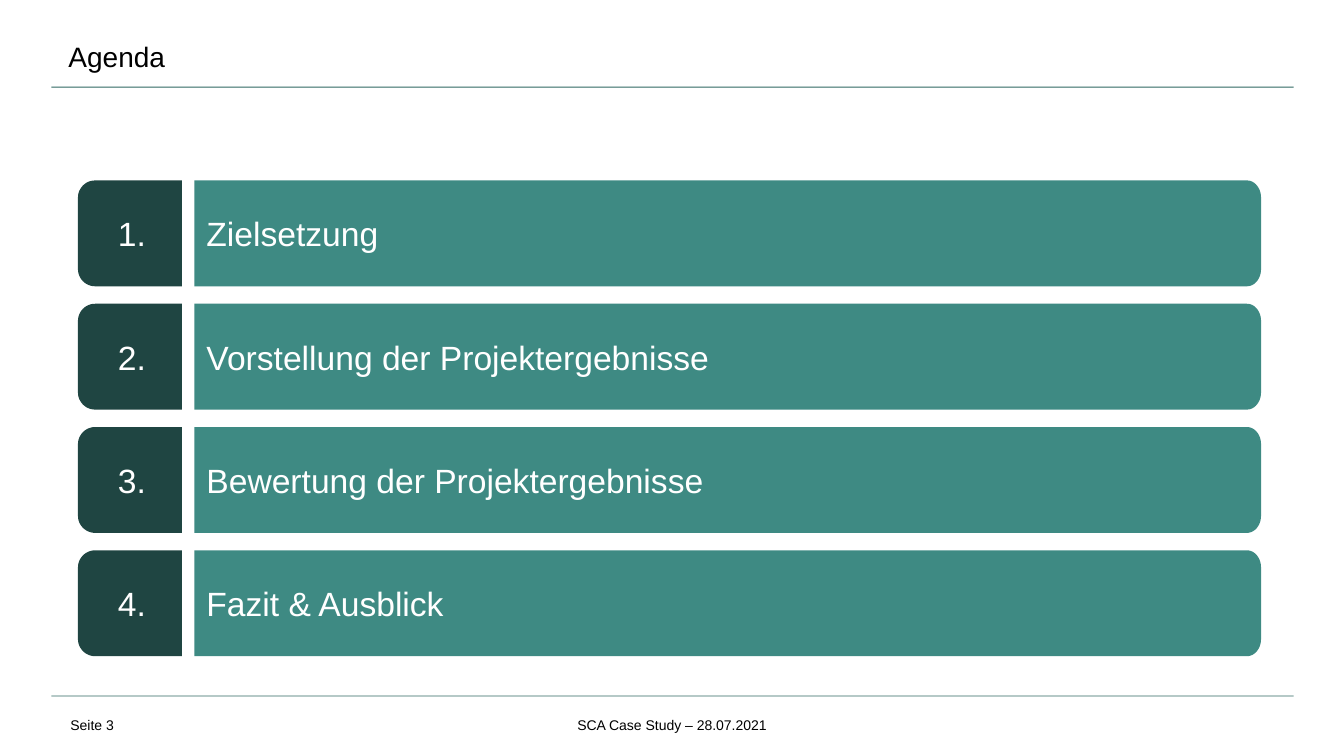
import math
from dataclasses import dataclass

import pptx
import pptx.dml.color
import pptx.enum.shapes
import pptx.enum.text
import pptx.presentation
import pptx.shapes.autoshape
import pptx.shapes.base
import pptx.slide
import pptx.util

ALIGN = pptx.enum.text.PP_ALIGN
ANCHOR = pptx.enum.text.MSO_ANCHOR
WIDTH, HEIGHT = pptx.util.Inches(13.33), pptx.util.Inches(7.5)


@dataclass(frozen=True)
class Theme:
    font: str = "Arial"
    text: str = "000000"
    inverse: str = "FFFFFF"
    rule: str = "2F6862"
    bar: str = "3E8A83"
    number: str = "1F4542"
    title_size: int = 20
    agenda_size: int = 24
    footer_size: int = 10


THEME = Theme()


@dataclass(frozen=True)
class Area:
    """A rectangle in percent of the slide's width and height."""
    left: float
    top: float
    width: float
    height: float

    def emu(self) -> tuple[int, int, int, int]:
        return (across(self.left), down(self.top),
                across(self.width), down(self.height))


@dataclass(frozen=True)
class Style:
    size: int
    color: str
    align: ALIGN = ALIGN.LEFT
    anchor: ANCHOR = ANCHOR.MIDDLE
    insets: tuple[float, float, float, float] = (0.1, 0.05, 0.1, 0.05)


@dataclass(frozen=True)
class Label:
    text: str
    area: Area
    style: Style


@dataclass(frozen=True)
class Panel:
    """A column of the agenda, rounded on one side only."""
    left: float
    width: float
    radius: float
    round_right: bool
    fill: str
    style: Style


FOOTER = Style(THEME.footer_size, THEME.text, anchor=ANCHOR.BOTTOM)
FOOTER_CENTER = Style(THEME.footer_size, THEME.text, ALIGN.CENTER, ANCHOR.BOTTOM)
TITLE = Style(THEME.title_size, THEME.text, insets=(0.1, 0, 0.08, 0))
TOPIC = Style(THEME.agenda_size, THEME.inverse, insets=(0.12, 0.04, 0.1, 0.04))
NUMBER = Style(THEME.agenda_size, THEME.inverse, ALIGN.CENTER, insets=(0.04, 0, 0, 0))

RULES = [Area(3.83, top, 92.42, 0.13) for top in (11.47, 92)]
LABELS = [
    Label("Agenda", Area(4.35, 4.8, 91.3, 5.2), TITLE),
    Label("Seite 3", Area(4.5, 93.87, 6.45, 3.73), FOOTER),
    Label("SCA Case Study – 28.07.2021", Area(29.93, 93.87, 40.13, 3.73), FOOTER_CENTER),
]
TOPICS = ["Zielsetzung", "Vorstellung der Projektergebnisse",
          "Bewertung der Projektergebnisse", "Fazit & Ausblick"]
BAR_PANEL = Panel(14.46, 79.37, 1.05, True, THEME.bar, TOPIC)
NUMBER_PANEL = Panel(5.8, 7.73, 1.28, False, THEME.number, NUMBER)
FIRST_ROW, ROW_STEP, ROW_HEIGHT, ROW_RADIUS = 23.87, 16.31, 14, 2.27
ARC_STEPS = 12


def across(percent: float) -> int:
    return round(WIDTH * percent / 100)


def down(percent: float) -> int:
    return round(HEIGHT * percent / 100)


def write(shape: pptx.shapes.base.BaseShape, text: str, style: Style) -> None:
    frame = shape.text_frame
    left, top, right, bottom = map(pptx.util.Inches, style.insets)
    frame_format = {"word_wrap": True, "vertical_anchor": style.anchor,
                    "margin_left": left, "margin_top": top,
                    "margin_right": right, "margin_bottom": bottom}
    para = frame.paragraphs[0]
    para.alignment = style.align
    span = para.add_run()
    span.text = text
    font_format = {"name": THEME.font, "size": pptx.util.Pt(style.size)}
    for target, values in ((frame, frame_format), (span.font, font_format)):
        for name, value in values.items():
            setattr(target, name, value)
    span.font.color.rgb = pptx.dml.color.RGBColor.from_string(style.color)


def paint(shape: pptx.shapes.autoshape.Shape, color: str) -> None:
    shape.shadow.inherit = False
    shape.fill.solid()
    shape.fill.fore_color.rgb = pptx.dml.color.RGBColor.from_string(color)
    shape.line.fill.background()


def add_rule(page: pptx.slide.Slide, area: Area) -> None:
    rectangle = pptx.enum.shapes.MSO_SHAPE.RECTANGLE
    paint(page.shapes.add_shape(rectangle, *area.emu()), THEME.rule)


def add_label(page: pptx.slide.Slide, label: Label) -> None:
    write(page.shapes.add_textbox(*label.area.emu()), label.text, label.style)


def add_panel(page: pptx.slide.Slide, panel: Panel, top: float, text: str) -> None:
    left, right = panel.left, panel.left + panel.width
    bottom = top + ROW_HEIGHT
    square, rounded, inward = (left, right, -1) if panel.round_right else (right, left, 1)
    center = rounded + inward * panel.radius
    points = [(square, top)]
    for middle, start in ((top + ROW_RADIUS, -90), (bottom - ROW_RADIUS, 0)):
        for step in range(ARC_STEPS + 1):
            angle = math.radians(start + 90 * step / ARC_STEPS)
            points.append((center - inward * panel.radius * math.cos(angle),
                           middle + ROW_RADIUS * math.sin(angle)))
    points.append((square, bottom))
    corners = [(across(x), down(y)) for x, y in points]
    builder = page.shapes.build_freeform(*corners[0])
    builder.add_line_segments(corners[1:], close=True)
    shape = builder.convert_to_shape()
    paint(shape, panel.fill)
    write(shape, text, panel.style)


def build() -> pptx.presentation.Presentation:
    deck = pptx.Presentation()
    deck.slide_width, deck.slide_height = WIDTH, HEIGHT
    page = deck.slides.add_slide(deck.slide_layouts[6])
    for area in RULES:
        add_rule(page, area)
    for label in LABELS:
        add_label(page, label)
    for index, topic in enumerate(TOPICS):
        top = FIRST_ROW + index * ROW_STEP
        add_panel(page, BAR_PANEL, top, topic)
        add_panel(page, NUMBER_PANEL, top, f"{index + 1}.")
    return deck


if __name__ == "__main__":
    build().save("out.pptx")
